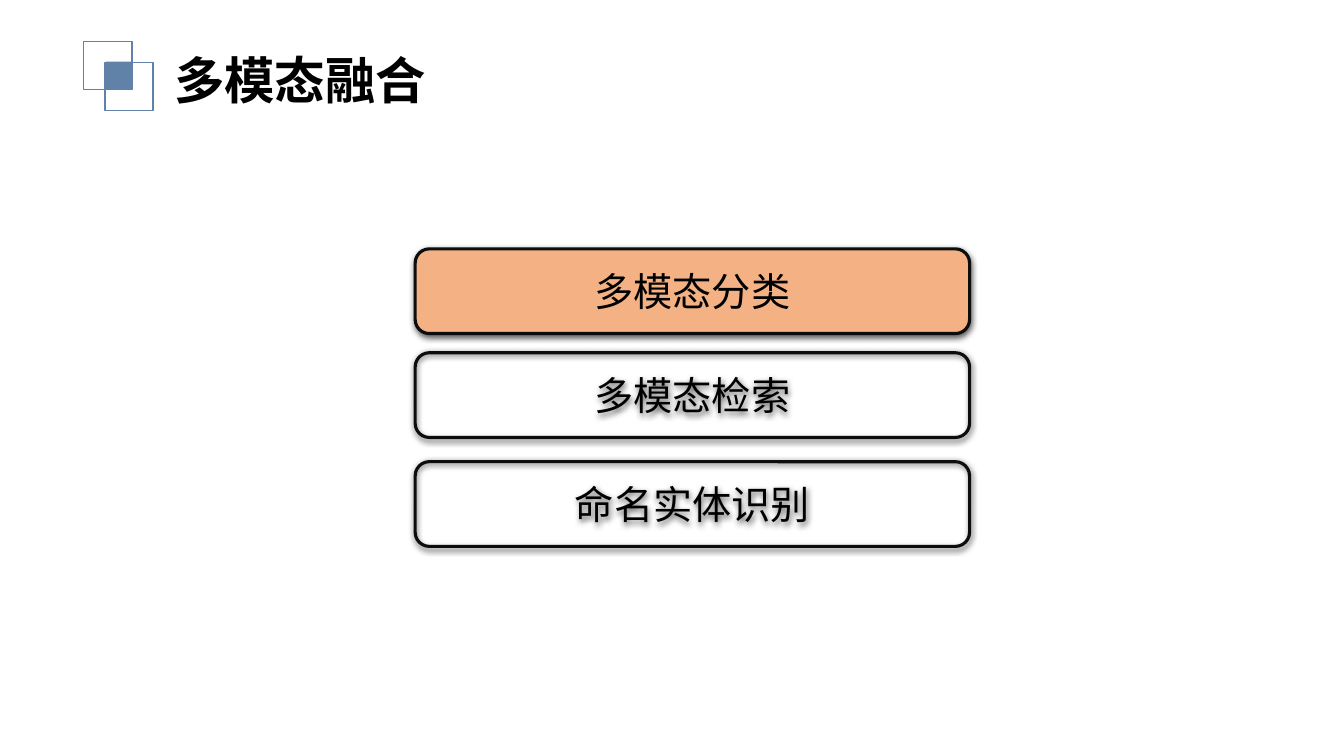
import pptx
import pptx.util
import pptx.dml.color
import pptx.enum.shapes
import pptx.enum.text
import pptx.oxml.ns
import lxml.etree

Pt = pptx.util.Pt
SHAPE = pptx.enum.shapes.MSO_SHAPE
qn = pptx.oxml.ns.qn

FONT = "Noto Sans CJK SC"
COLORS = {
    "accent": "6082A9",
    "active": "F4B183",
    "border": "0D0D0D",
    "text": "000000",
    "shadow": "000000",
}


def rgb(name):
    return pptx.dml.color.RGBColor.from_string(COLORS[name])


def add_box(slide, kind, left, top, width, height, fill=None, line=None, weight=1):
    sp = slide.shapes.add_shape(kind, Pt(left), Pt(top), Pt(width), Pt(height))
    sp.shadow.inherit = False
    if fill:
        sp.fill.solid()
        sp.fill.fore_color.rgb = rgb(fill)
    else:
        sp.fill.background()
    if line:
        sp.line.color.rgb = rgb(line)
        sp.line.width = Pt(weight)
    else:
        sp.line.fill.background()
    return sp


def add_shadow(sp):
    effects = sp._element.spPr.find(qn("a:effectLst"))
    shadow = lxml.etree.SubElement(
        effects, qn("a:outerShdw"), blurRad=str(Pt(4.5)), dist=str(Pt(1.5)),
        dir="5400000", algn="ctr", rotWithShape="0")
    color = lxml.etree.SubElement(shadow, qn("a:srgbClr"), val=COLORS["shadow"])
    lxml.etree.SubElement(color, qn("a:alpha"), val="63000")


def set_text(sp, text, size, bold=False):
    tf = sp.text_frame
    tf.word_wrap = True
    tf.text = text
    r = tf.paragraphs[0].runs[0]
    r.font.name = FONT
    r.font.size = Pt(size)
    r.font.bold = bold
    r.font.color.rgb = rgb("text")
    lxml.etree.SubElement(r._r.get_or_add_rPr(), qn("a:ea"), typeface=FONT)
    return tf


def add_header(slide, left, top, title):
    side, shift = 34.56, 15.12
    for offset in (0, shift):
        add_box(slide, SHAPE.RECTANGLE, left + offset, top + offset, side, side,
                line="accent")
    add_box(slide, SHAPE.RECTANGLE, left + 15.8, top + 14.6, 18, 19.4, fill="accent")
    sp = slide.shapes.add_textbox(Pt(left + 57.6), Pt(top + 2.2), Pt(377.3), Pt(51.1))
    tf = set_text(sp, title, 36, bold=True)
    tf.auto_size = pptx.enum.text.MSO_AUTO_SIZE.SHAPE_TO_FIT_TEXT


def add_topics(slide, left, top, width, height, topics, active):
    for text, offset in topics:
        sp = add_box(slide, SHAPE.ROUNDED_RECTANGLE, left, top + offset, width, height,
                     fill="active" if text == active else None,
                     line="border", weight=2.25)
        add_shadow(sp)
        tf = set_text(sp, text, 28)
        tf.vertical_anchor = pptx.enum.text.MSO_ANCHOR.MIDDLE
        tf.paragraphs[0].alignment = pptx.enum.text.PP_ALIGN.CENTER


def main():
    prs = pptx.Presentation()
    prs.slide_width, prs.slide_height = Pt(960), Pt(540)
    slide = prs.slides.add_slide(prs.slide_layouts[6])
    add_header(slide, 59.76, 29.5, "多模态融合")
    topics = [("多模态分类", 0), ("多模态检索", 74.2), ("命名实体识别", 152)]
    add_topics(slide, 296.6, 177.8, 396, 60.5, topics, active="多模态分类")
    prs.save("out.pptx")


if __name__ == "__main__":
    main()
